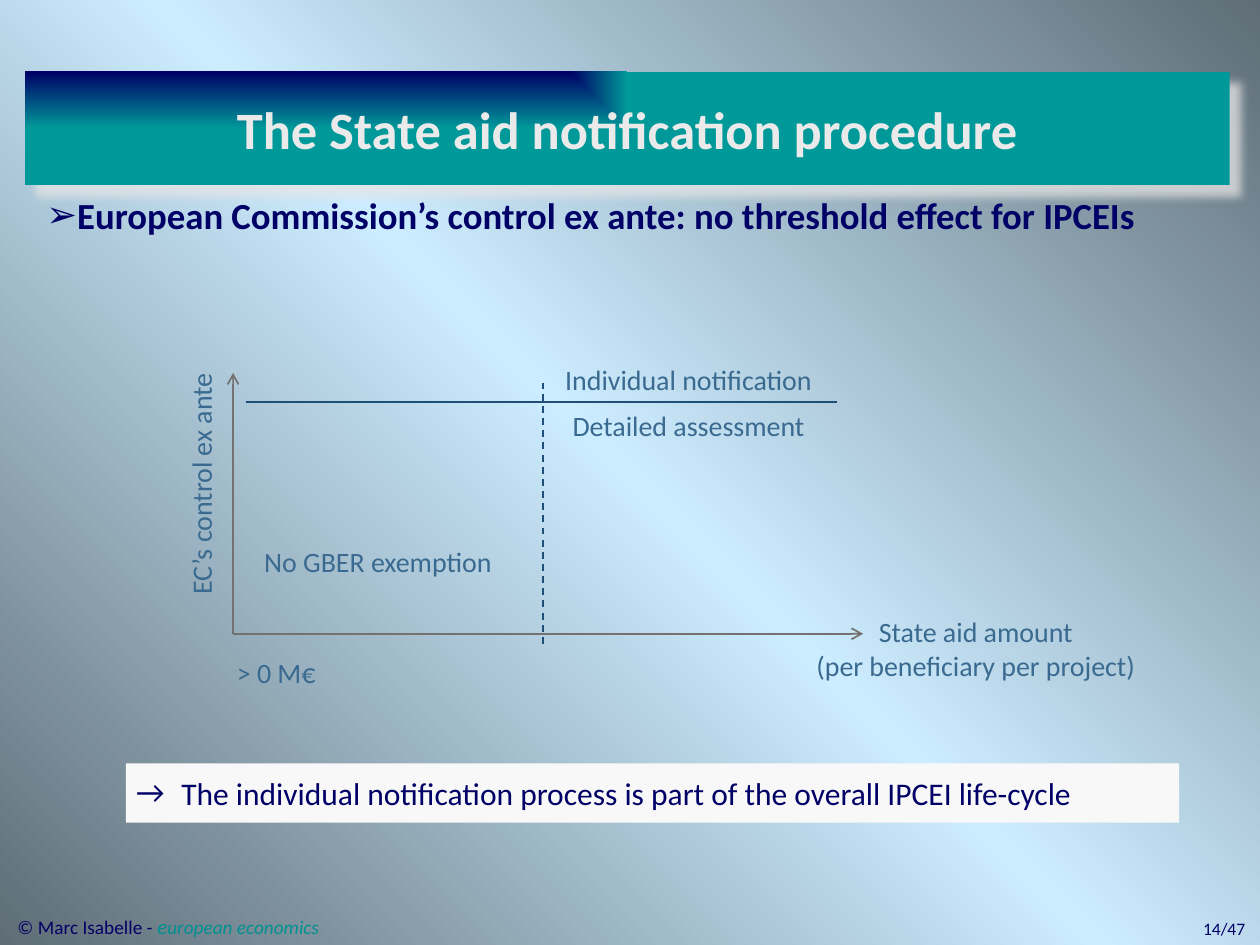
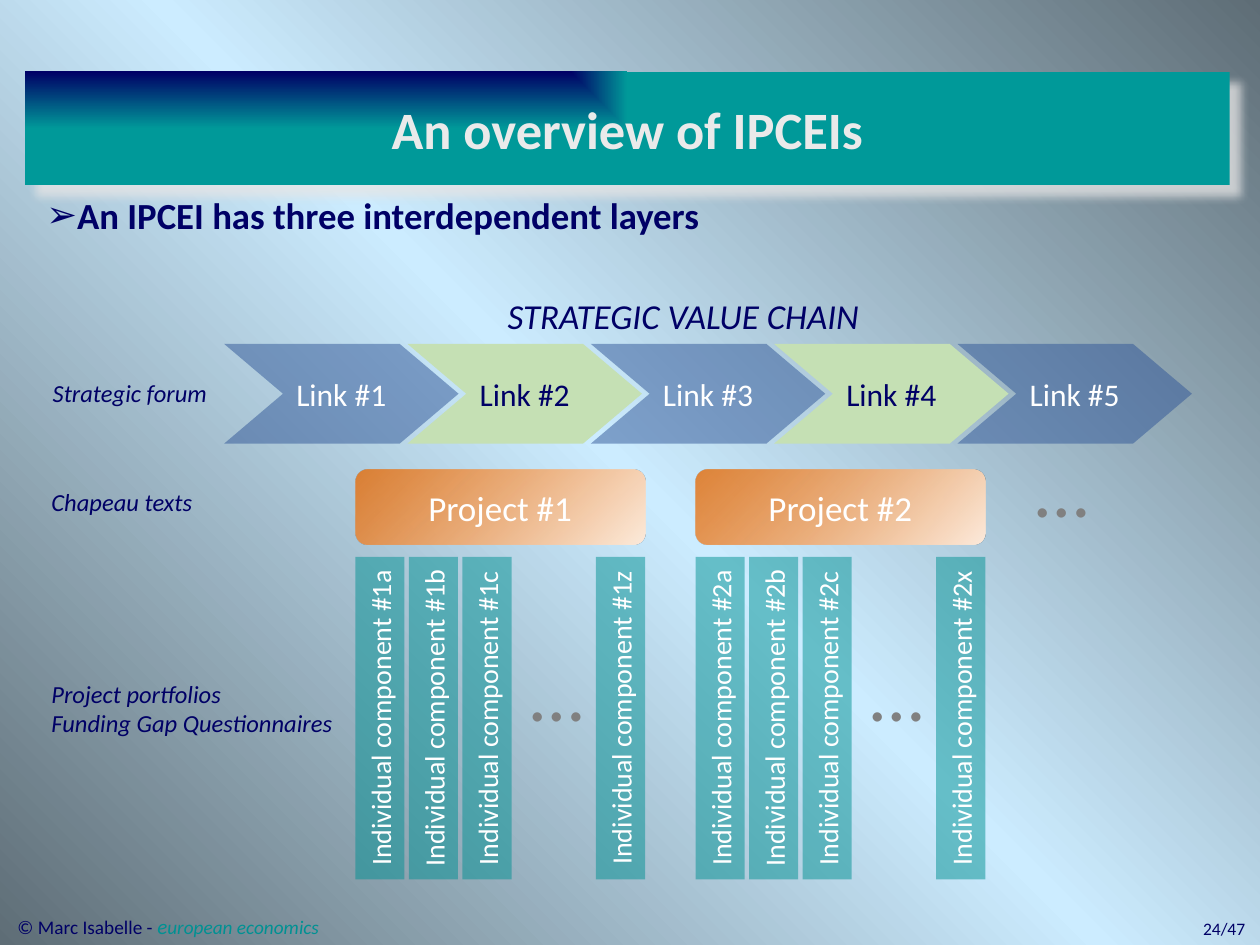
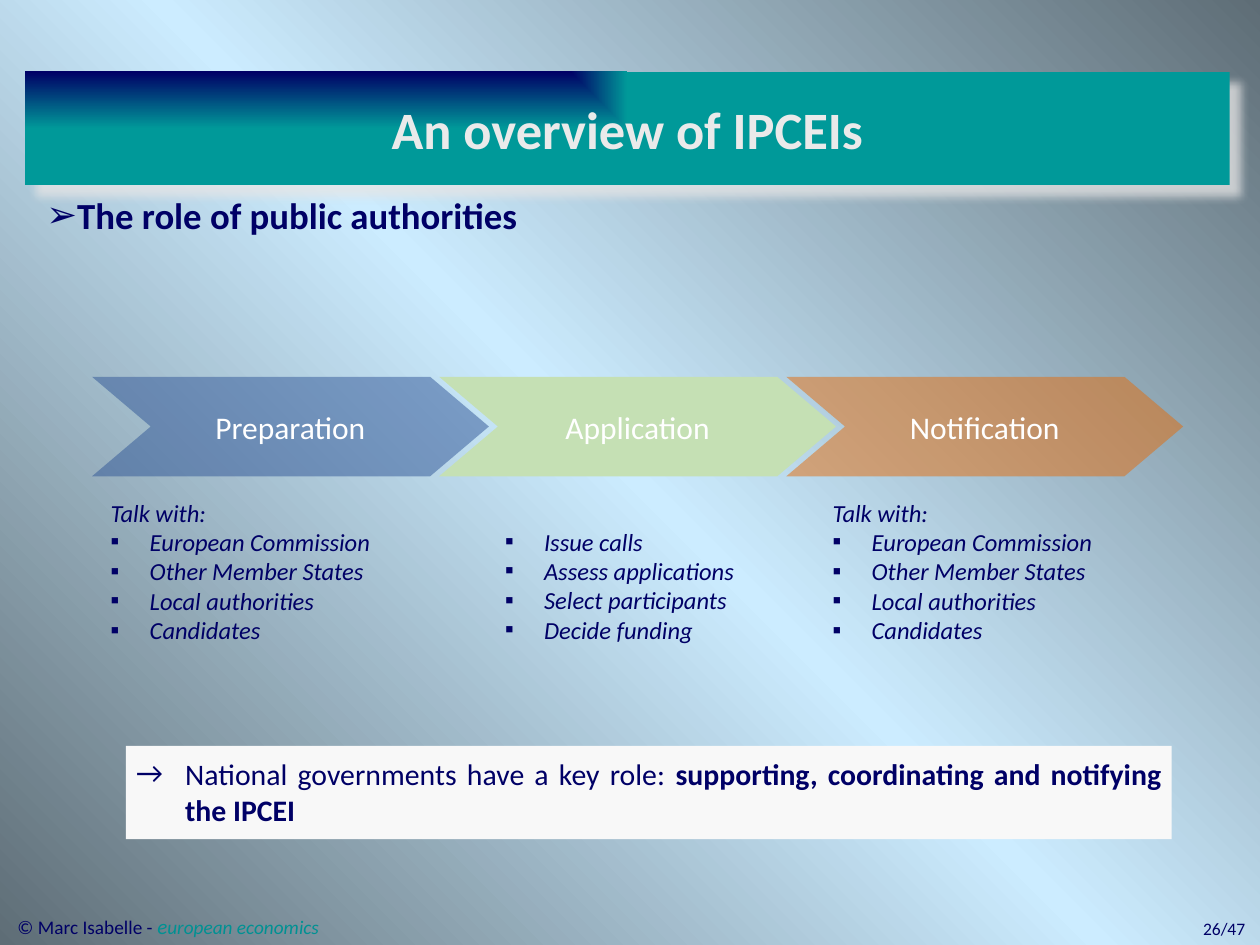
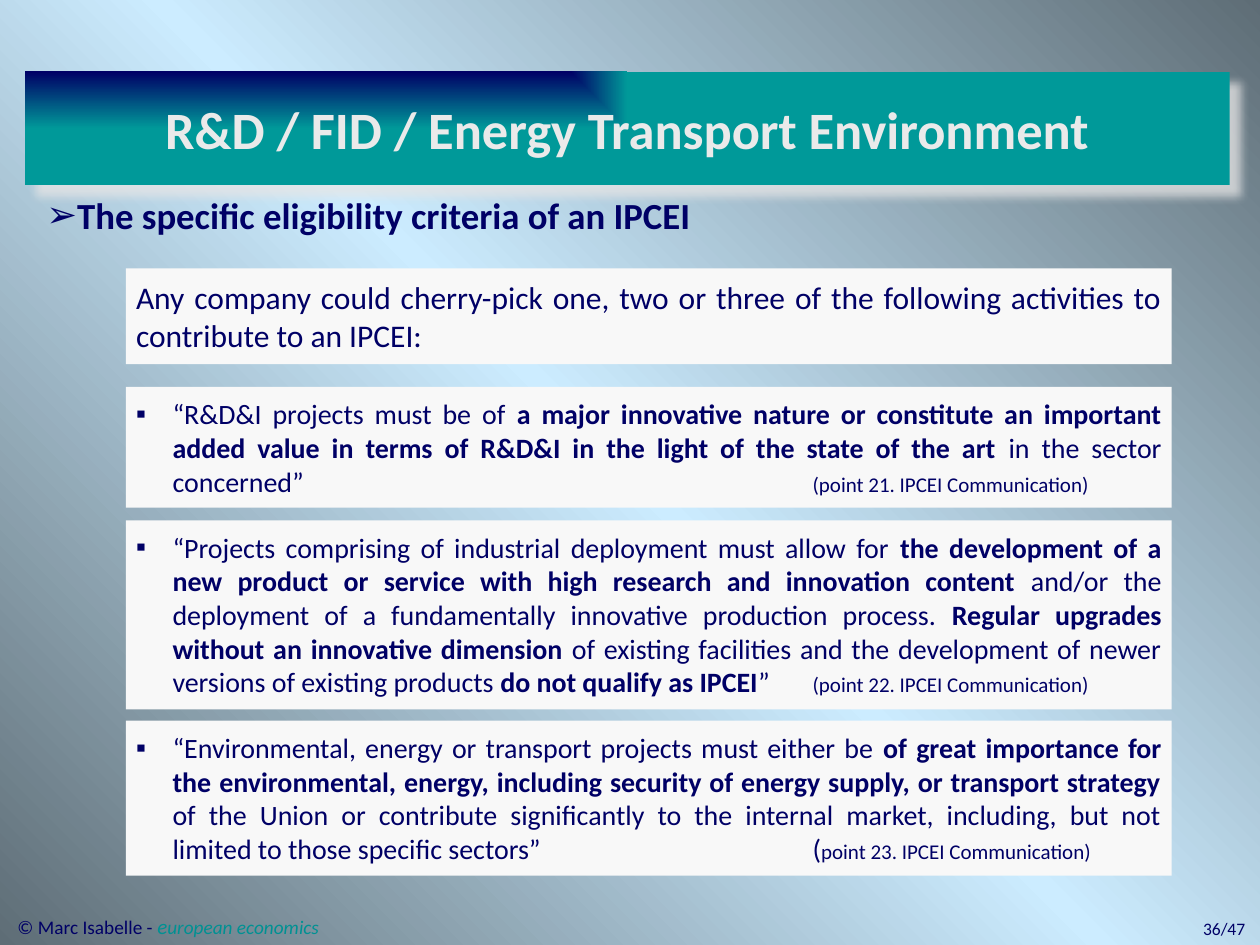
from lxml.etree import SubElement
from pptx import Presentation
from pptx.dml.color import RGBColor
from pptx.enum.dml import MSO_LINE
from pptx.enum.shapes import MSO_CONNECTOR, MSO_SHAPE
from pptx.enum.text import MSO_ANCHOR, MSO_AUTO_SIZE, PP_ALIGN
from pptx.oxml import parse_xml
from pptx.oxml.ns import nsdecls, qn
from pptx.util import Inches, Pt

# Shared look
FONT = "Calibri"
NAVY = RGBColor(0x00, 0x00, 0x66)
TEAL = RGBColor(0x00, 0x99, 0x99)
SEA = RGBColor(0x00, 0x91, 0x93)
PALE = RGBColor(0xEA, 0xEA, 0xEA)
WHITE = RGBColor(0xFF, 0xFF, 0xFF)
PAPER = RGBColor(0xF8, 0xF8, 0xF8)
STEEL = RGBColor(0x3A, 0x6A, 0x8F)
INK = RGBColor(0x1F, 0x4E, 0x79)
AXIS = RGBColor(0x76, 0x71, 0x71)
GRAY = RGBColor(0x80, 0x80, 0x80)
BLUE = RGBColor(0x2F, 0x55, 0x97)
GREEN = RGBColor(0xC5, 0xE0, 0xB4)
ORANGE = RGBColor(0xE4, 0x6C, 0x0A)
PEACH = RGBColor(0xFD, 0xEA, 0xDA)
SLATE = RGBColor(0x5E, 0x6D, 0x76)
SKY = RGBColor(0xCC, 0xEC, 0xFF)
SHADE = RGBColor(0xE7, 0xE6, 0xE6)

LEFT, MID, RIGHT, FULL = PP_ALIGN.LEFT, PP_ALIGN.CENTER, PP_ALIGN.RIGHT, PP_ALIGN.JUSTIFY
SNUG = (0.08, 0.08)
TOTAL = 47

# Content: a paragraph is a string or a list of (text, font changes)
BOLD, SMALL = {"bold": True}, {"size": Pt(12)}
AUTHOR = [("© Marc Isabelle - ", {}),
          ("e", {"size": Pt(12), "italic": True, "color": SEA}),
          ("uropean economics", {"italic": True, "color": SEA})]

HEADS = [
    ("The State aid notification procedure",
     "European Commission’s control ex ante: no threshold effect for IPCEIs", 14),
    ("An overview of IPCEIs", "An IPCEI has three interdependent layers", 24),
    ("An overview of IPCEIs", "The role of public authorities", 26),
    ("R&D / FID / Energy Transport Environment",
     "The specific eligibility criteria of an IPCEI", 36),
]

# Diagram lines: from, to, colour, dashed, arrow
LINES = [
    ((1.85, 5.03), (1.85, 2.96), AXIS, False, True),
    ((1.85, 5.03), (6.85, 5.03), AXIS, False, True),
    ((1.95, 3.19), (6.64, 3.19), INK, False, False),
    ((4.31, 5.11), (4.31, 3.04), INK, True, False),
]
# Diagram labels: place, paragraphs, alignment, rotation, gap between paragraphs
LABELS = [
    ((0.59, 3.59, 2, 0.42), ["EC’s control ex ante"], FULL, 270, 0),
    ((1.8, 5.12, 5.25, 0.42), ["> 0 M€"], FULL, 0, 0),
    ((1.77, 4.24, 2.46, 0.42), ["No GBER exemption"], MID, 0, 0),
    ((4.35, 2.8, 2.23, 0.79), ["Individual notification", "Detailed assessment"], MID, 0, 7),
    ((6.13, 4.8, 3.23, 0.69), ["State aid amount", "(per beneficiary per project)"], MID, 0, 0),
]
CYCLE = "The individual notification process is part of the overall IPCEI life-cycle"

LINKS = [(f"Link #{n}", GREEN, None, NAVY) if n % 2 == 0
         else (f"Link #{n}", BLUE, 50, WHITE) for n in range(1, 6)]
PROJECTS = [("1", "abcz"), ("2", "abcx")]
LAYERS = [
    ((0.32, 2.95, 1.44, 0.34), ["Strategic forum"]),
    ((0.31, 3.82, 1.33, 0.34), ["Chapeau texts"]),
    ((0.31, 5.34, 2.46, 0.57), ["Project portfolios", "Funding Gap Questionnaires"]),
]

PHASES = [("Preparation", BLUE, 50, WHITE), ("Application", GREEN, None, WHITE),
          ("Notification", ORANGE, 50, WHITE)]
TALK = ["European Commission", "Other Member States", "Local authorities", "Candidates"]
TASKS = [
    ((0.78, 3.9, 2.28, 1.28), "Talk with:", TALK),
    ((3.91, 4.13, 2.05, 1.04), None,
     ["Issue calls", "Assess applications", "Select participants", "Decide funding"]),
    ((6.51, 3.9, 2.28, 1.28), "Talk with:", TALK),
]
ROLE = [("National governments have a key role: ", {}),
        ("supporting, coordinating and notifying the IPCEI", BOLD)]

OFFER = ("Any company could cherry-pick one, two or three of the following "
         "activities to contribute to an IPCEI:")
RULES = [
    (3.07, 0.96, [
        ("“R&D&I projects must be of ", {}),
        ("a major innovative nature or constitute an important added value in terms "
         "of R&D&I in the light of the state of the art", BOLD),
        (" in the sector concerned”", {}),
        ("\t(point 21. IPCEI Communication)", SMALL)]),
    (4.13, 1.5, [
        ("“Projects comprising of industrial deployment must allow for ", {}),
        ("the development of a new product or service with high research and "
         "innovation content", BOLD),
        (" and/or the deployment of a fundamentally innovative production process. ", {}),
        ("Regular upgrades without an innovative dimension", BOLD),
        (" of existing facilities and the development of newer versions of existing "
         "products ", {}),
        ("do not qualify as IPCEI", BOLD),
        ("”", {}),
        ("\t(point 22. IPCEI Communication)", SMALL)]),
    (5.72, 1.23, [
        ("“Environmental, energy or transport projects must either be ", {}),
        ("of great importance for the environmental, energy, including security of "
         "energy supply, or transport strategy", BOLD),
        (" of the Union or contribute significantly to the internal market, including, "
         "but not limited to those specific sectors”\t(", {}),
        ("point 23. IPCEI Communication)", SMALL)]),
]


# Fills
def shade(part, stops, shape):
    """Swap the solid fill inside part for a gradient of (place, colour, alpha)."""
    marks = "".join(
        f'<a:gs pos="{pos * 1000}"><a:srgbClr val="{rgb}">'
        f'<a:alpha val="{alpha * 1000}"/></a:srgbClr></a:gs>'
        for pos, rgb, alpha in stops)
    old = part.find(".//" + qn("a:solidFill"))
    old.getparent().replace(old, parse_xml(
        f'<a:gradFill {nsdecls("a")} rotWithShape="1">'
        f"<a:gsLst>{marks}</a:gsLst>{shape}</a:gradFill>"))


def slant(angle):
    return f'<a:lin ang="{angle * 60000}" scaled="0"/>'


# Text
def style(font, size=None, color=None, bold=None, italic=None):
    if size:
        font.size = size
    if color is not None:
        font.color.rgb = color
    if bold is not None:
        font.bold = bold
    if italic is not None:
        font.italic = italic


def mark(para, sign, left, hang, tab=None):
    props = para._p.get_or_add_pPr()
    props.set("marL", str(Inches(left)))
    props.set("indent", str(Inches(-hang)))
    SubElement(props, qn("a:buFont"), typeface=FONT)
    SubElement(props, qn("a:buChar"), char=sign)
    if tab:
        stops = SubElement(props, qn("a:tabLst"))
        SubElement(stops, qn("a:tab"), pos=str(Inches(tab)), algn="l")


def write(shape, paras, size, color=NAVY, align=LEFT, pad=(0.1, 0.05), anchor=MSO_ANCHOR.TOP,
          wrap=True, grow=True, bold=None, italic=None, bullet=None, plain=0, gap=0):
    """Fill a shape with text; the first `plain` paragraphs get no bullet."""
    frame = shape.text_frame
    frame.word_wrap = wrap
    frame.auto_size = MSO_AUTO_SIZE.SHAPE_TO_FIT_TEXT if grow else MSO_AUTO_SIZE.NONE
    frame.vertical_anchor = anchor
    frame.margin_left = frame.margin_right = Inches(pad[0])
    frame.margin_top = frame.margin_bottom = Inches(pad[1])
    for i, runs in enumerate(paras):
        para = frame.add_paragraph() if i else frame.paragraphs[0]
        para.alignment = align
        if i and gap:
            para.space_before = Pt(gap)
        if bullet and i >= plain:
            mark(para, *bullet)
        para.font.name = FONT
        style(para.font, Pt(size), color, bold, italic)
        for text, change in [(runs, {})] if isinstance(runs, str) else runs:
            run = para.add_run()
            run.text = text
            style(run.font, **change)
    return shape


# Parts
def box(slide, place, paras, size, **look):
    return write(slide.shapes.add_textbox(*map(Inches, place)), paras, size, **look)


def block(slide, kind, place, fill, alpha=None):
    shape = slide.shapes.add_shape(kind, *map(Inches, place))
    shape.shadow.inherit = False
    shape.fill.solid()
    shape.fill.fore_color.rgb = fill
    shape.line.fill.background()
    if alpha:
        tint = shape._element.spPr.find(".//" + qn("a:srgbClr"))
        SubElement(tint, qn("a:alpha"), val=str(alpha * 1000))
    return shape


def panel(slide, top, height, para, size, wide=8.3, bullet=None):
    shape = block(slide, MSO_SHAPE.RECTANGLE, (1, top, wide, height), PAPER)
    write(shape, [para], size, align=FULL, pad=SNUG, bullet=bullet)


def chain(slide, steps, left, top, wide, pitch):
    for i, (name, fill, alpha, color) in enumerate(steps):
        place = (left + i * pitch, top, wide, 0.79)
        shape = block(slide, MSO_SHAPE.CHEVRON, place, fill, alpha)
        shape.adjustments[0] = 0.59
        write(shape, [name], 18, color, MID, (0, 0.05), MSO_ANCHOR.MIDDLE, grow=False)


def line(slide, start, end, color, dashed, arrow):
    link = slide.shapes.add_connector(MSO_CONNECTOR.STRAIGHT, *map(Inches, start + end))
    link.line.color.rgb = color
    link.line.width = Pt(1)
    if dashed:
        link.line.dash_style = MSO_LINE.DASH
    if arrow:
        SubElement(link.line._get_or_add_ln(), qn("a:tailEnd"), type="arrow")
    SubElement(link._element.spPr, qn("a:effectLst"))


def dots(slide, left, top):
    box(slide, (left, top, 0.63, 0.84), ["…"], 44, color=GRAY, wrap=False)


def start(deck, title, head, page):
    """Add a slide with its title band, heading and footer."""
    slide = deck.slides.add_slide(deck.slide_layouts[5])
    band = slide.shapes.title
    band.left, band.top, band.width, band.height = map(Inches, (0.2, 0.57, 9.56, 0.9))
    band.fill.solid()
    shade(band._element.spPr, [(0, NAVY, 100), (100, TEAL, 100)],
          '<a:path path="rect"><a:fillToRect r="100000" b="100000"/></a:path>')
    band.shadow.inherit = False
    cast = SubElement(band._element.spPr.find(qn("a:effectLst")), qn("a:outerShdw"),
                      blurRad=str(Pt(5)), dist=str(Pt(8.5)), dir="2700000",
                      algn="tl", rotWithShape="0")
    tint = SubElement(cast, qn("a:srgbClr"), val=str(SHADE))
    SubElement(tint, qn("a:alpha"), val="75000")
    write(band, [title], 30, PALE, MID, (0.2, 0.05), MSO_ANCHOR.MIDDLE, grow=False, bold=True)

    lead = box(slide, (0.27, 1.52, 9.05, 0.5), [head], 21, align=FULL, grow=False,
               bold=True, bullet=("➢", 0.19, 0.29))
    lead.text_frame.paragraphs[0].line_spacing = 0.9
    box(slide, (0.04, 7.2, 2.61, 0.3), [AUTHOR], 11, wrap=False)
    box(slide, (8.79, 7.24, 1.19, 0.27), [f"{page}/{TOTAL}"], 10, align=RIGHT)
    return slide


# Slides
def procedure(slide):
    for stroke in LINES:
        line(slide, *stroke)
    for place, paras, align, turn, gap in LABELS:
        label = box(slide, place, paras, 16, color=STEEL, align=align, pad=SNUG, gap=gap)
        label.rotation = turn
    panel(slide, 6.06, 0.47, CYCLE, 18, 8.36, ("→", 0.36, 0.36))


def layers(slide):
    wide, bar, tall, top = 2.3, 0.39, 2.56, 4.42
    for i, (num, parts) in enumerate(PROJECTS):
        left = 2.82 + i * 2.7
        card = block(slide, MSO_SHAPE.ROUNDED_RECTANGLE, (left, 3.73, wide, 0.59), ORANGE)
        shade(card._element.spPr, [(0, ORANGE, 80), (99, PEACH, 100)], slant(45))
        write(card, [f"Project #{num}"], 20, WHITE, MID, anchor=MSO_ANCHOR.MIDDLE, grow=False)
        # Upright bars: three from the left, the last flush right
        for k, part in enumerate(parts):
            edge = left + (k * 0.425 if k < 3 else wide - bar)
            place = (edge + (bar - tall) / 2, top + (tall - bar) / 2, tall, bar)
            shape = block(slide, MSO_SHAPE.RECTANGLE, place, SEA, 50)
            shape.rotation = 270
            write(shape, [f"Individual component #{num}{part}"], 16, WHITE, MID,
                  anchor=MSO_ANCHOR.MIDDLE, grow=False)
        dots(slide, left + 1.29, 5.07)
    dots(slide, 8.12, 3.45)
    chain(slide, LINKS, 1.78, 2.73, 1.86, 1.455)
    box(slide, (3.93, 2.29, 3.03, 0.44), ["STRATEGIC VALUE CHAIN"], 20, wrap=False, italic=True)
    for place, paras in LAYERS:
        box(slide, place, paras, 14, wrap=False, italic=True)


def roles(slide):
    chain(slide, PHASES, 0.73, 2.99, 3.15, 2.755)
    for place, intro, items in TASKS:
        paras = [intro] + items if intro else items
        box(slide, place, paras, 14, wrap=False, italic=True,
            bullet=("▪", 0.31, 0.31), plain=1 if intro else 0)
    panel(slide, 5.92, 0.74, ROLE, 17, bullet=("→", 0.39, 0.39))


def criteria(slide):
    panel(slide, 2.13, 0.76, OFFER, 18)
    for top, height, para in RULES:
        panel(slide, top, height, para, 16, bullet=("▪", 0.29, 0.29, 5.37))


def main():
    deck = Presentation()
    deck.slide_width, deck.slide_height = Inches(10), Inches(7.5)
    master = deck.slide_master
    master.background.fill.solid()
    master.background.fill.fore_color.rgb = SKY
    shade(master._element.find(".//" + qn("p:bgPr")),
          [(0, SLATE, 50), (50, SKY, 50), (100, SLATE, 50)], slant(315))
    for head, build in zip(HEADS, (procedure, layers, roles, criteria)):
        build(start(deck, *head))
    deck.save("out.pptx")


if __name__ == "__main__":
    main()
